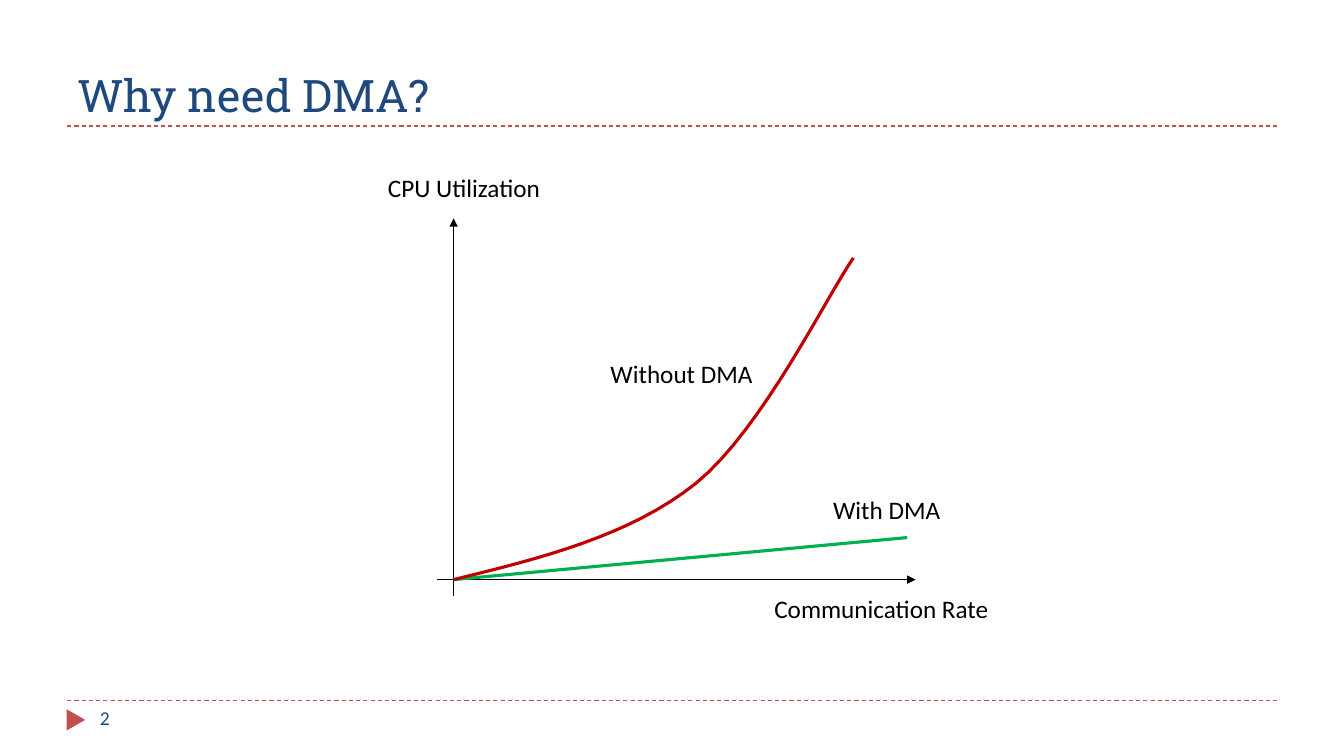
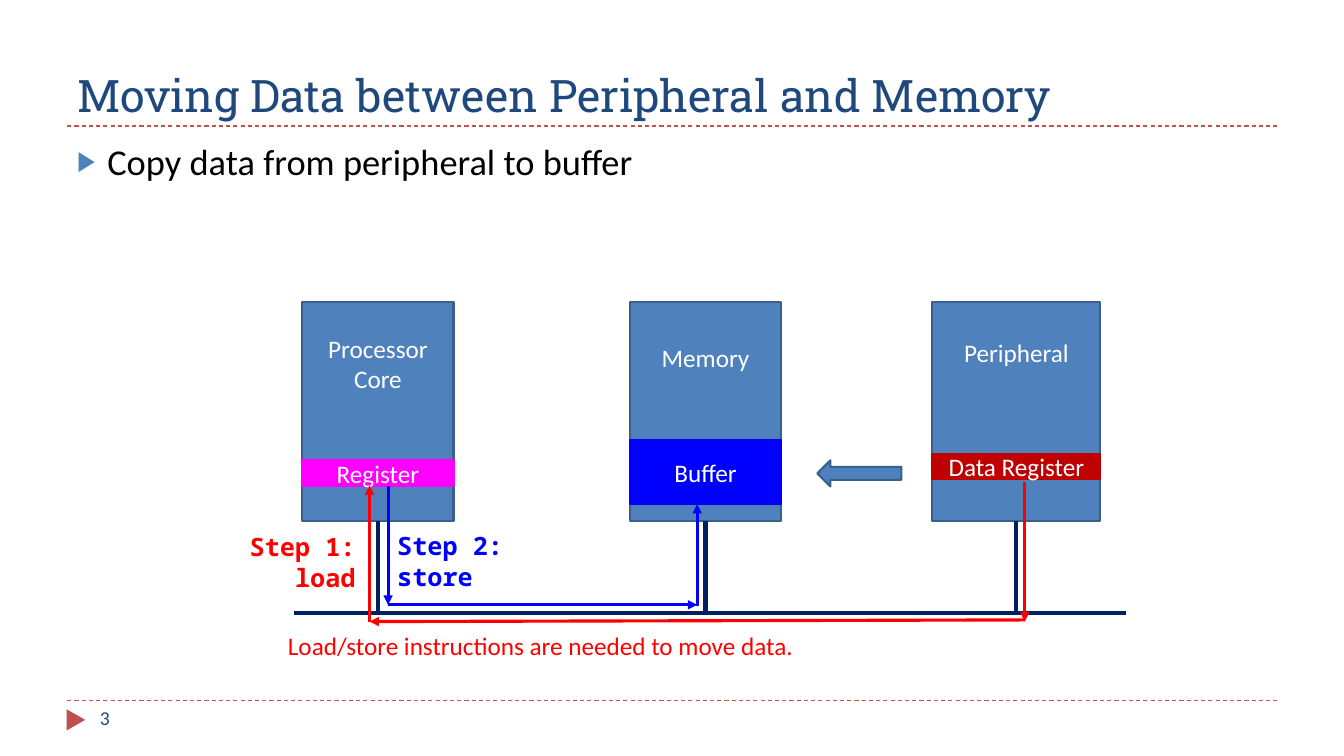
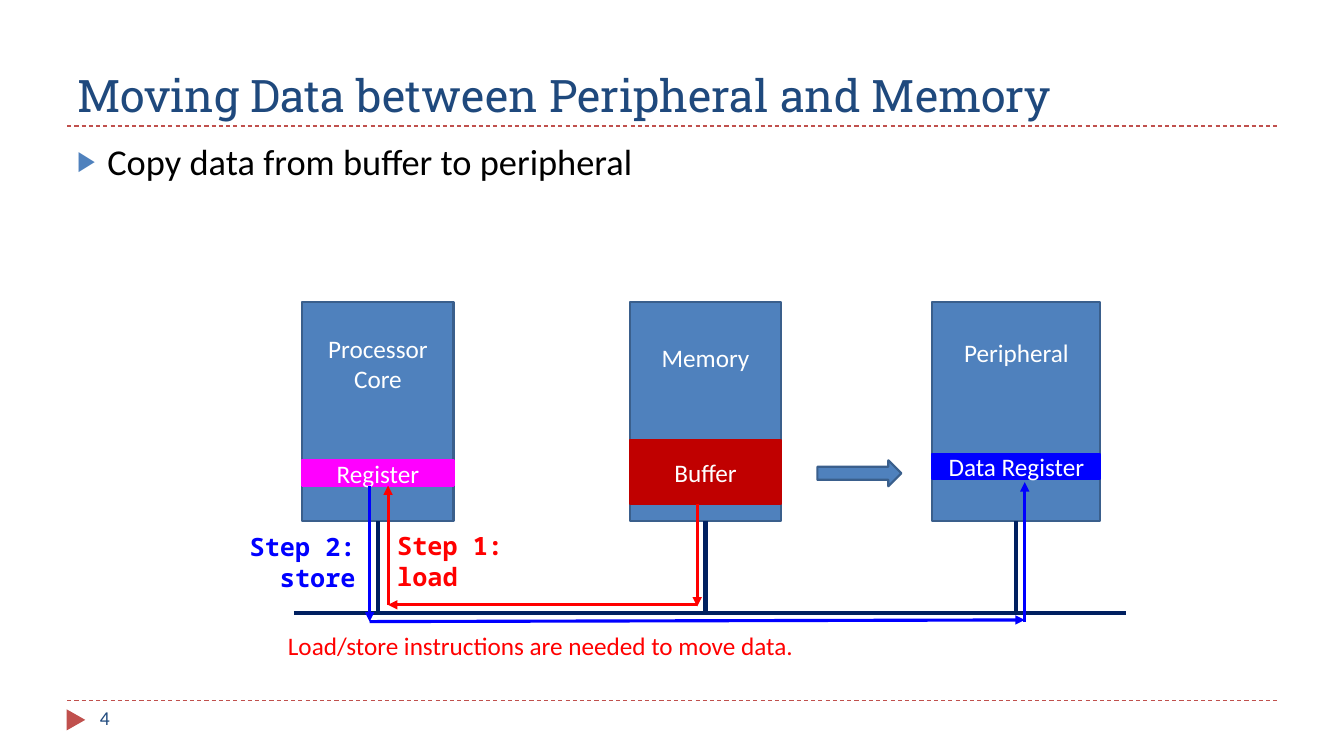
import dataclasses
import typing

import lxml.etree
import pptx
import pptx.dml.color
import pptx.enum.dml
import pptx.enum.shapes
import pptx.enum.text
import pptx.oxml.ns
import pptx.util

COLUMNS, ROWS = 160, 90
UNIT = pptx.util.Inches(1) / 12
SHAPES = pptx.enum.shapes.MSO_SHAPE
ALIGN = pptx.enum.text.PP_ALIGN
ANCHOR = pptx.enum.text.MSO_ANCHOR
DASH = pptx.enum.dml.MSO_LINE.DASH

COLOURS = {
    "title": "1F497D",
    "accent": "C0504D",
    "block": "4F81BD",
    "edge": "3A5F8C",
    "bus": "002060",
    "black": "000000",
    "white": "FFFFFF",
    "with_dma": "00B050",
    "crimson": "C00000",
    "register": "FF00FF",
    "load": "FF0000",
    "store": "0000FF",
}

Point = tuple[float, float]
Segment = tuple[Point, Point]


@dataclasses.dataclass(frozen=True)
class Area:
    left: float
    top: float
    width: float
    height: float

    def lengths(self) -> list[int]:
        return [grid(value) for value in dataclasses.astuple(self)]


@dataclasses.dataclass(frozen=True)
class Style:
    size: float = 18
    colour: str = "black"
    name: str = "Calibri"
    bold: bool = False
    align: typing.Any = ALIGN.LEFT
    anchor: typing.Any = ANCHOR.TOP


@dataclasses.dataclass(frozen=True)
class Label:
    text: str
    area: Area
    style: Style = Style()


@dataclasses.dataclass(frozen=True)
class Component:
    name: str
    left: float
    width: float
    caption_height: float
    section: str
    section_top: float
    section_height: float
    bus_drop: float


@dataclasses.dataclass(frozen=True)
class Transfer:
    bullet: str
    section_colours: dict[str, str]
    outer: str
    inner: str
    reverse: bool
    rotation: float


TITLE = Style(32, "title", "Roboto Slab", anchor=ANCHOR.BOTTOM)
NUMBER = Style(14, "title")
BULLET = Style(26)
CAPTION = Style(colour="white", align=ALIGN.CENTER, anchor=ANCHOR.MIDDLE)

AXES: list[Segment] = [((52, 69), (109, 69)), ((54, 71), (54, 26))]
CURVE: list[list[Point]] = [
    [(54, 69), (64.6, 66.4), (75, 63.8), (82.9, 57.5)],
    [(82.9, 57.5), (90.8, 51), (98.4, 35.3), (101.6, 30.7)],
]
CURVE_STEPS = 16
GRAPH_LABELS = [
    Label("Communication Rate", Area(91, 70, 28.4, 4.8)),
    Label("CPU Utilization", Area(45, 19.9, 21.7, 4.8)),
    Label("Without DMA", Area(71.5, 42.1, 20.4, 4.8)),
    Label("With DMA", Area(98, 58.2, 16.3, 4.8)),
]

BLOCK_TOP, BLOCK_HEIGHT, BUS_ROW = 36, 26, 73
COMPONENTS = [
    Component("Processor Core", 36, 18, 14.5, "Register", 54.8, 3, 45),
    Component("Memory", 75, 18, 13, "Buffer", 52.4, 7.6, 84),
    Component("Peripheral", 111, 20, 12, "Data Register", 54, 3, 121),
]
OUTER_ROUTE: list[Segment] = [
    ((122, 57.4), (122, 74)),
    ((122, 73.8), (44, 74)),
    ((44, 74), (44, 57.8)),
]
INNER_ROUTE: list[Segment] = [
    ((46.2, 57.8), (46.2, 72)),
    ((46.2, 72), (83, 72)),
    ((83, 72.2), (83, 60)),
]
STEPS = {"load": "Step 1: load", "store": "Step 2: store"}
TRANSFERS = [
    Transfer(
        "Copy data from peripheral to buffer",
        {"Register": "register", "Buffer": "store", "Data Register": "crimson"},
        "load", "store", False, 180,
    ),
    Transfer(
        "Copy data from buffer to peripheral",
        {"Register": "register", "Buffer": "crimson", "Data Register": "store"},
        "store", "load", True, 0,
    ),
]


def grid(value: float) -> int:
    return round(value * UNIT)


def rgb(colour: str) -> pptx.dml.color.RGBColor:
    return pptx.dml.color.RGBColor.from_string(COLOURS[colour])


def assign(target: typing.Any, values: dict[str, typing.Any]) -> None:
    for key, value in values.items():
        setattr(target, key, value)


def add_child(parent: typing.Any, tag: str, **attributes: str) -> typing.Any:
    return lxml.etree.SubElement(parent, pptx.oxml.ns.qn(tag), attributes)


def write(box: typing.Any, text: str, style: Style) -> typing.Any:
    assign(box.text_frame, {"word_wrap": True, "vertical_anchor": style.anchor})
    para = box.text_frame.paragraphs[0]
    para.alignment = style.align
    span = para.add_run()
    span.text = text
    assign(span.font, {
        "size": pptx.util.Pt(style.size), "name": style.name, "bold": style.bold,
    })
    span.font.color.rgb = rgb(style.colour)
    return para


def add_label(page: typing.Any, label: Label) -> typing.Any:
    box = page.shapes.add_textbox(*label.area.lengths())
    return write(box, label.text, label.style)


def add_bullet(page: typing.Any, text: str) -> None:
    para = add_label(page, Label(text, Area(8, 16, 126, 14), BULLET))
    properties = para._p.get_or_add_pPr()
    indent = pptx.util.Inches(0.3)
    properties.set("marL", str(indent))
    properties.set("indent", str(-indent))
    add_child(add_child(properties, "a:buClr"), "a:srgbClr", val=COLOURS["block"])
    add_child(properties, "a:buSzPct", val="76000")
    add_child(properties, "a:buFont", typeface="Arial")
    add_child(properties, "a:buChar", char="▶")


def add_block(page: typing.Any, kind: typing.Any, area: Area, fill: str,
              edge: str | None = None, rotation: float = 0) -> typing.Any:
    block = page.shapes.add_shape(kind, *area.lengths())
    block.shadow.inherit = False
    block.rotation = rotation
    block.fill.solid()
    block.fill.fore_color.rgb = rgb(fill)
    if edge:
        block.line.color.rgb = rgb(edge)
        block.line.width = pptx.util.Pt(1.5)
    else:
        block.line.fill.background()
    return block


def add_line(page: typing.Any, segment: Segment, colour: str, width: float,
             arrow: bool = False, dash: typing.Any = None) -> None:
    ends = [grid(value) for point in segment for value in point]
    line = page.shapes.add_connector(pptx.enum.shapes.MSO_CONNECTOR.STRAIGHT, *ends)
    line.line.color.rgb = rgb(colour)
    assign(line.line, {"width": pptx.util.Pt(width), "dash_style": dash})
    properties = line.element.spPr
    if arrow:
        add_child(properties.find(pptx.oxml.ns.qn("a:ln")), "a:tailEnd", type="triangle")
    add_child(properties, "a:effectLst")


def curve_point(controls: list[Point], share: float) -> Point:
    rest = 1 - share
    weights = [rest ** 3, 3 * rest ** 2 * share, 3 * rest * share ** 2, share ** 3]
    column, row = (
        sum(weight * value for weight, value in zip(weights, values))
        for values in zip(*controls)
    )
    return column, row


def add_curve(page: typing.Any, curve: list[list[Point]], colour: str) -> None:
    points = [
        curve_point(controls, step / CURVE_STEPS)
        for controls in curve for step in range(1, CURVE_STEPS + 1)
    ]
    start = [grid(value) for value in curve[0][0]]
    builder = page.shapes.build_freeform(*start, scale=1.0)
    builder.add_line_segments(
        [(grid(column), grid(row)) for column, row in points], close=False)
    outline = builder.convert_to_shape()
    outline.shadow.inherit = False
    outline.fill.background()
    outline.line.color.rgb = rgb(colour)
    outline.line.width = pptx.util.Pt(2.25)


def add_page(deck: typing.Any, title: str, number: int) -> typing.Any:
    page = deck.slides.add_slide(deck.slide_layouts[6])
    for row in (83.4, 15):
        add_line(page, ((8, row), (152, row)), "accent", 0.75, dash=DASH)
    add_block(page, SHAPES.ISOSCELES_TRIANGLE, Area(7.8, 84.6, 2.5, 2.2), "accent",
              rotation=90)
    add_label(page, Label(title, Area(8, 2, 144, 13), TITLE))
    add_label(page, Label(str(number), Area(10.7, 83.4, 34.7, 4.8), NUMBER))
    return page


def draw_graph(page: typing.Any) -> None:
    for axis in AXES:
        add_line(page, axis, "black", 1, arrow=True)
    add_line(page, ((54, 69), (108, 64)), "with_dma", 2.25)
    add_curve(page, CURVE, "crimson")
    for label in GRAPH_LABELS:
        add_label(page, label)


def draw_component(page: typing.Any, component: Component, colour: str) -> None:
    left, width = component.left, component.width
    add_block(page, SHAPES.RECTANGLE, Area(left, BLOCK_TOP, width, BLOCK_HEIGHT),
              "block", "edge")
    section = add_block(page, SHAPES.RECTANGLE,
                        Area(left, component.section_top, width, component.section_height),
                        colour, colour)
    write(section, component.section, CAPTION)
    drop = component.bus_drop
    add_line(page, ((drop, BLOCK_TOP + BLOCK_HEIGHT), (drop, BUS_ROW)), "bus", 3)
    add_label(page, Label(component.name,
                          Area(left, BLOCK_TOP, width, component.caption_height), CAPTION))


def draw_transfer(page: typing.Any, transfer: Transfer) -> None:
    add_bullet(page, transfer.bullet)
    add_line(page, ((35, BUS_ROW), (134, BUS_ROW)), "bus", 3)
    for component in COMPONENTS:
        draw_component(page, component, transfer.section_colours[component.section])
    routes = [
        (OUTER_ROUTE, transfer.outer, Area(21, 62.7, 22.5, 4.8), ALIGN.RIGHT),
        (INNER_ROUTE, transfer.inner, Area(46.1, 62.6, 22.5, 4.8), ALIGN.LEFT),
    ]
    for route, step, area, align in routes:
        for start, end in route:
            segment = (end, start) if transfer.reverse else (start, end)
            add_line(page, segment, step, 2.25, arrow=True)
        style = Style(colour=step, name="Noto Sans Mono", bold=True, align=align)
        add_label(page, Label(STEPS[step], area, style))
    add_label(page, Label("Load/store instructions are needed to move data.",
                          Area(33.1, 74.5, 63.1, 4.8), Style(colour="load")))
    add_block(page, SHAPES.RIGHT_ARROW, Area(97.3, 54.8, 10, 3.1), "block", "edge",
              transfer.rotation)


def main() -> None:
    deck = pptx.Presentation()
    assign(deck, {"slide_width": grid(COLUMNS), "slide_height": grid(ROWS)})
    draw_graph(add_page(deck, "Why need DMA?", 2))
    for number, transfer in enumerate(TRANSFERS, start=3):
        page = add_page(deck, "Moving Data between Peripheral and Memory", number)
        draw_transfer(page, transfer)
    deck.save("out.pptx")


if __name__ == "__main__":
    main()
